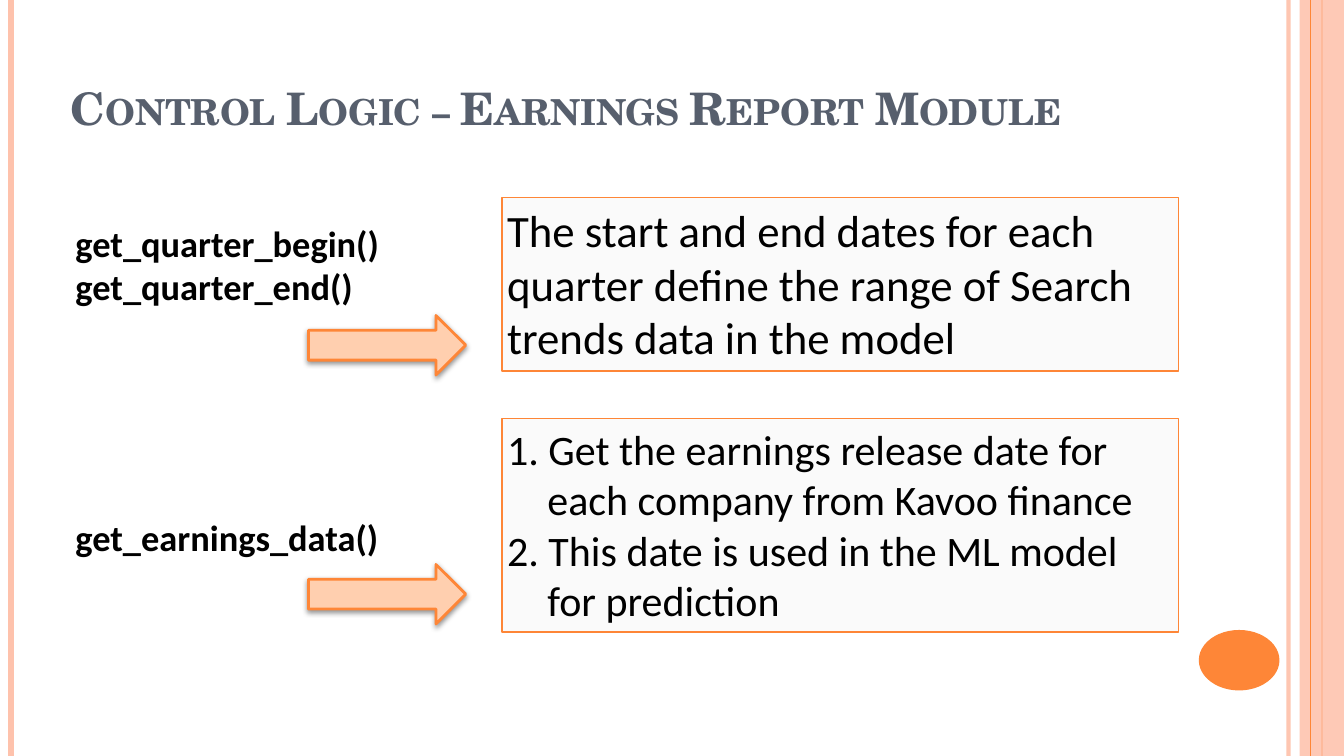
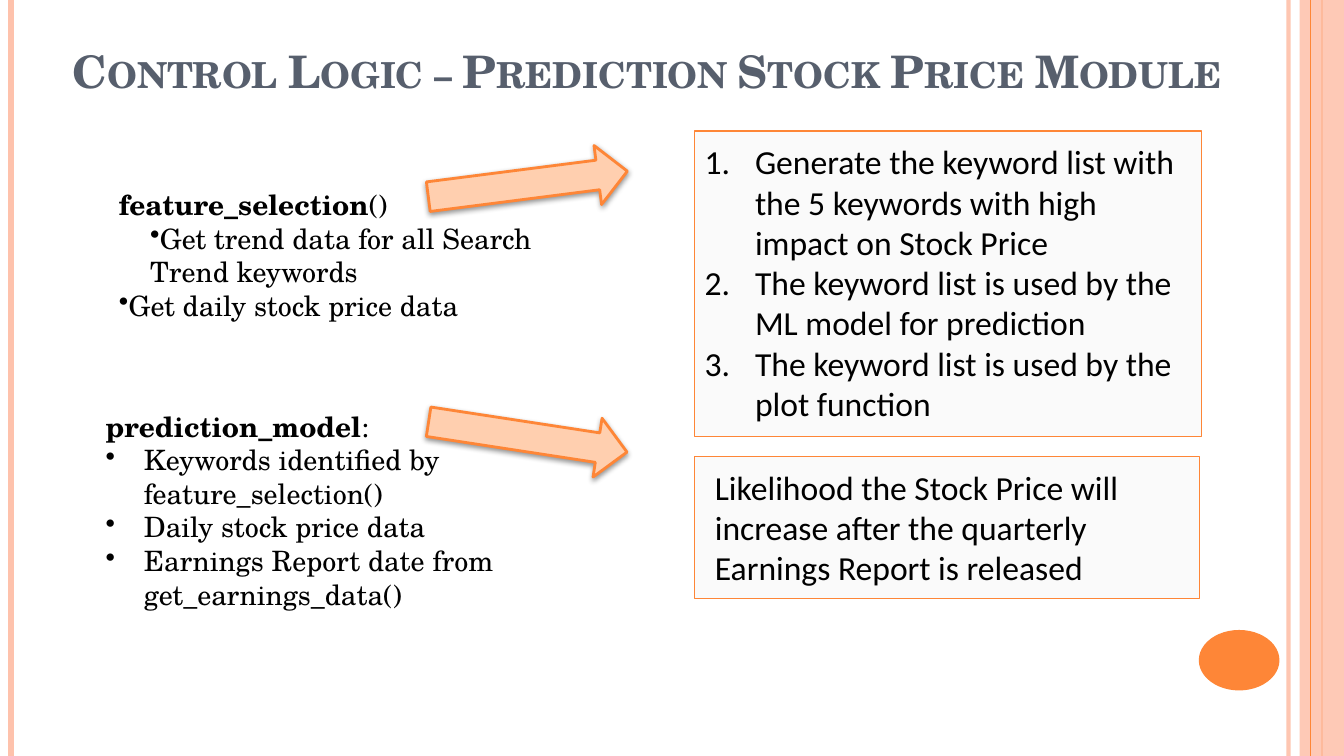
from dataclasses import dataclass
from typing import Any

from lxml import etree
from pptx import Presentation
from pptx import util as u
from pptx.dml.color import RGBColor
from pptx.enum import shapes, text
from pptx.oxml import ns

SCALE = 9144  # EMU per px, 100 px to the inch
WIDE, HIGH = 1333, 750


@dataclass(frozen=True)
class Theme:
    ink: str = "000000"
    slate: str = "575F6D"
    peach: str = "FEC2AC"
    flame: str = "FE8637"
    glow: str = "FFCFAF"
    paper: str = "FAFAFA"
    serif: str = "TeX Gyre Schola"
    sans: str = "Calibri"
    head: int = 32
    large: int = 32
    mid: int = 30
    label: int = 26
    note: int = 24
    small: int = 20


T = Theme()


@dataclass(frozen=True)
class Area:
    x: int
    y: int
    w: int
    h: int


@dataclass(frozen=True)
class Rule:
    x: int
    color: str
    width: float
    alpha: int = 100


@dataclass(frozen=True)
class Para:
    """One paragraph: bold lead, plain rest, indents in px, bullet or numbering."""
    rest: str = ""
    lead: str = ""
    left: int = 0
    hang: int = 0
    mark: str = ""


@dataclass(frozen=True)
class Block:
    """A text area; framed ones get the paper fill and flame outline."""
    area: Area
    size: int
    paras: list[Para]
    font: str = T.sans
    framed: bool = False
    wrap: bool = True
    pad: tuple[int, int] = (10, 5)


@dataclass(frozen=True)
class Arrow:
    area: Area
    turn: float = 0


@dataclass(frozen=True)
class Page:
    title: str
    place: Area
    blocks: list[Block]
    arrows: list[Arrow]


LEFT = [Rule(1278, T.peach, 3, 93), Rule(11, T.peach, 4.5), Rule(1311, T.flame, 1.5)]
EDGE = Rule(1300, T.flame, 0.75)
BAND = Area(1289, 0, 44, HIGH)
DOT = Area(1189, 625, 80, 60)


def px(n: int) -> u.Emu:
    return u.Emu(n * SCALE)


def spot(a: Area) -> tuple[u.Emu, ...]:
    return px(a.x), px(a.y), px(a.w), px(a.h)


def put(item: Any, vals: dict[str, Any]) -> None:
    for key, val in vals.items():
        setattr(item, key, val)


def sub(node: Any, tag: str, **vals: Any) -> Any:
    return etree.SubElement(node, ns.qn(tag), {k: str(v) for k, v in vals.items()})


def paint(fill: Any, color: str, alpha: int = 100) -> None:
    fill.solid()
    fill.fore_color.rgb = RGBColor.from_string(color)
    if alpha < 100:
        tint = fill._xPr.find(".//" + ns.qn("a:srgbClr"))
        sub(tint, "a:alpha", val=alpha * 1000)


def stroke(line: Any, color: str, width: float, alpha: int = 100) -> None:
    paint(line.fill, color, alpha)
    line.width = u.Pt(width)


def rule(slide: Any, r: Rule) -> None:
    line = slide.shapes.add_connector(
        shapes.MSO_CONNECTOR.STRAIGHT, px(r.x), 0, px(r.x), px(HIGH))
    stroke(line.line, r.color, r.width, r.alpha)
    sub(line._element.spPr, "a:effectLst")


def solid(slide: Any, kind: Any, a: Area, color: str, alpha: int = 100,
          edge: float = 0) -> Any:
    form = slide.shapes.add_shape(kind, *spot(a))
    form.shadow.inherit = False
    paint(form.fill, color, alpha)
    if edge:
        stroke(form.line, T.flame, edge)
    else:
        form.line.fill.background()
    return form


def style(run: Any, size: int, face: str, color: str, bold: bool) -> None:
    put(run.font, {"size": u.Pt(size), "name": face, "bold": bold})
    run.font.color.rgb = RGBColor.from_string(color)


def write(para: Any, p: Para, b: Block) -> None:
    para.alignment = text.PP_ALIGN.LEFT
    props = para._p.get_or_add_pPr()
    props.set("marL", str(px(p.left)))
    props.set("indent", str(px(p.hang)))
    if p.mark == "1.":
        sub(props, "a:buAutoNum", type="arabicPeriod")
    elif p.mark:
        sub(props, "a:buChar", char=p.mark)
    for words, bold in ((p.lead, True), (p.rest, False)):
        if words:
            run = para.add_run()
            run.text = words
            style(run, b.size, b.font, T.ink, bold)


def block(slide: Any, b: Block) -> None:
    if b.framed:
        form = solid(slide, shapes.MSO_SHAPE.RECTANGLE, b.area, T.paper, edge=1)
    else:
        form = slide.shapes.add_textbox(*spot(b.area))
    side, top = b.pad
    frame = form.text_frame
    put(frame, {"word_wrap": b.wrap, "vertical_anchor": text.MSO_ANCHOR.TOP,
                "margin_left": px(side), "margin_right": px(min(side, 10)),
                "margin_top": px(top), "margin_bottom": px(top)})
    for i, p in enumerate(b.paras):
        write(frame.add_paragraph() if i else frame.paragraphs[0], p, b)


def title(slide: Any, words: str, a: Area) -> None:
    """Bold small capitals standing on the bottom of the area."""
    frame = slide.shapes.add_textbox(*spot(a)).text_frame
    sides = ("left", "right", "top", "bottom")
    put(frame, {"word_wrap": True, "vertical_anchor": text.MSO_ANCHOR.BOTTOM}
        | {f"margin_{side}": px(5) for side in sides})
    run = frame.paragraphs[0].add_run()
    run.text = words
    style(run, T.head, T.serif, T.slate, True)
    run._r.get_or_add_rPr().set("cap", "small")


def arrow(slide: Any, a: Arrow) -> None:
    """Block arrow with a soft shadow below."""
    form = solid(slide, shapes.MSO_SHAPE.RIGHT_ARROW, a.area, T.glow, edge=2)
    form.rotation = a.turn
    glow = form._element.spPr.find(ns.qn("a:effectLst"))
    cast = sub(glow, "a:outerShdw", blurRad=u.Pt(4), dist=u.Pt(1.6),
               dir=90 * 60000, rotWithShape=0)
    sub(sub(cast, "a:srgbClr", val=T.ink), "a:alpha", val=42000)


def decor(slide: Any) -> None:
    """Side rules, right band and corner dot shared by all slides."""
    for r in LEFT:
        rule(slide, r)
    solid(slide, shapes.MSO_SHAPE.RECTANGLE, BAND, T.peach, 87)
    rule(slide, EDGE)
    solid(slide, shapes.MSO_SHAPE.OVAL, DOT, T.flame)


def steps(*lines: str) -> list[Para]:
    return [Para(s, left=50, hang=-50, mark="1.") for s in lines]


def points(*lines: str) -> list[Para]:
    return [Para(s, left=38, hang=-38, mark="•") for s in lines]


PAGES = [
    Page(
        "Control Logic – Earnings Report Module", Area(65, 13, 1089, 125),
        [
            Block(Area(498, 196, 671, 172), T.large, [
                Para("The start and end dates for each quarter define the range "
                     "of Search trends data in the model"),
            ], framed=True, pad=(5, 5)),
            Block(Area(65, 214, 361, 128), T.label, [
                Para(lead="get_quarter_begin()"), Para(lead="get_quarter_end()"),
            ], wrap=False),
            Block(Area(498, 415, 671, 212), T.mid, [
                Para(s, left=40, hang=-40) for s in (
                    "1. Get the earnings release date for each company from "
                    "Kavoo finance",
                    "2. This date is used in the ML model for prediction")
            ], framed=True, pad=(5, 5)),
            Block(Area(65, 506, 357, 54), T.label,
                  [Para(lead="get_earnings_data()")], wrap=False),
        ],
        [Arrow(Area(306, y, 156, 59)) for y in (313, 560)],
    ),
    Page(
        "Control Logic – Prediction Stock Price Module", Area(67, 13, 1188, 89),
        [
            Block(Area(108, 181, 463, 145), T.small, [
                Para("()", "feature_selection"),
                Para("Get trend data for all Search Trend keywords", left=31,
                     mark="•"),
                Para("Get daily stock price data", mark="•"),
            ], T.serif),
            Block(Area(689, 130, 503, 303), T.note, steps(
                "Generate the keyword list with the 5 keywords with high impact "
                "on Stock Price",
                "The keyword list is used by the ML model for prediction",
                "The keyword list is used by the plot function",
            ), framed=True, pad=(10, 10)),
            Block(Area(95, 401, 487, 246), T.small, [
                Para(":", "prediction_model"),
                *points("Keywords identified by feature_selection()",
                        "Daily stock price data",
                        "Earnings Report date from get_earnings_data()"),
            ], T.serif),
            Block(Area(689, 453, 501, 141), T.note, [
                Para("Likelihood the Stock Price will increase after the "
                     "quarterly Earnings Report is released"),
            ], framed=True, pad=(20, 10)),
        ],
        [Arrow(Area(424, y, 199, 59), turn) for y, turn in ((404, 8.7), (153, 352.7))],
    ),
]


def main() -> None:
    deck = Presentation()
    put(deck, {"slide_width": px(WIDE), "slide_height": px(HIGH)})
    for page in PAGES:
        slide = deck.slides.add_slide(deck.slide_layouts[6])
        decor(slide)
        title(slide, page.title, page.place)
        for b in page.blocks:
            block(slide, b)
        for a in page.arrows:
            arrow(slide, a)
    deck.save("out.pptx")


if __name__ == "__main__":
    main()
